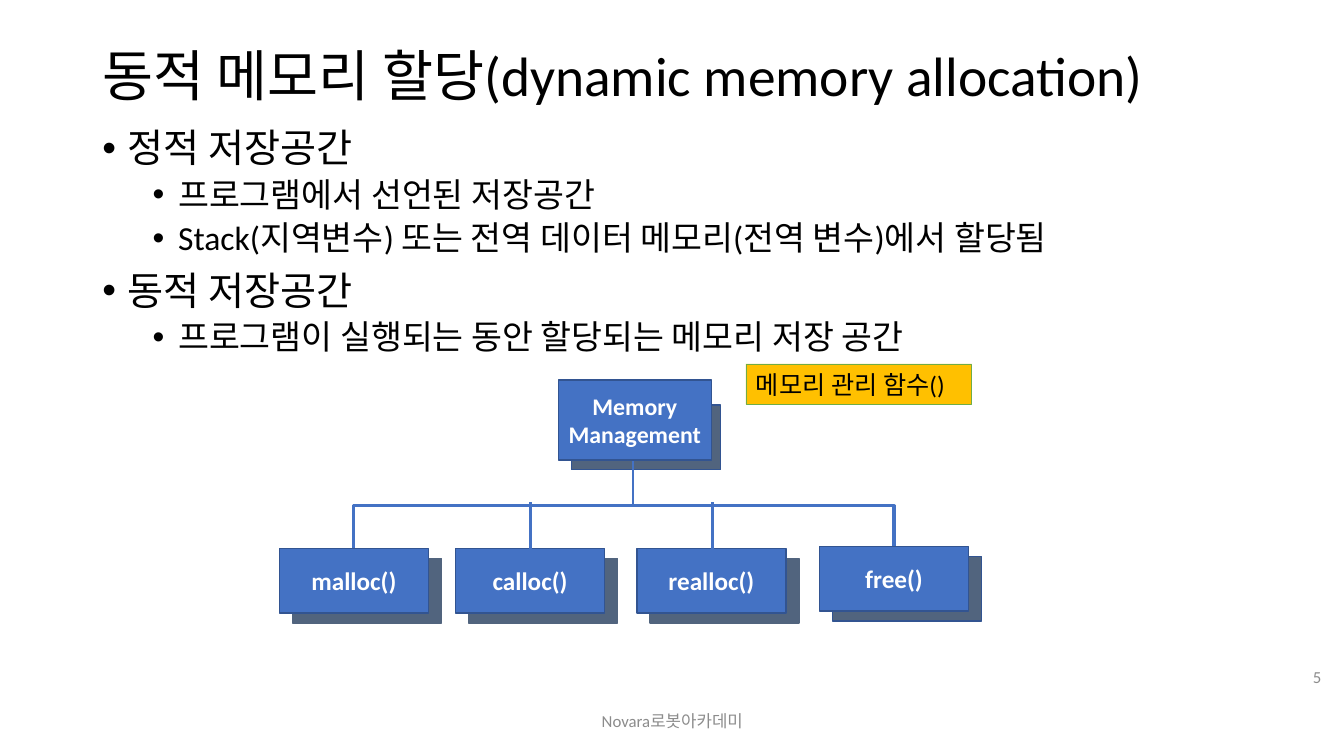
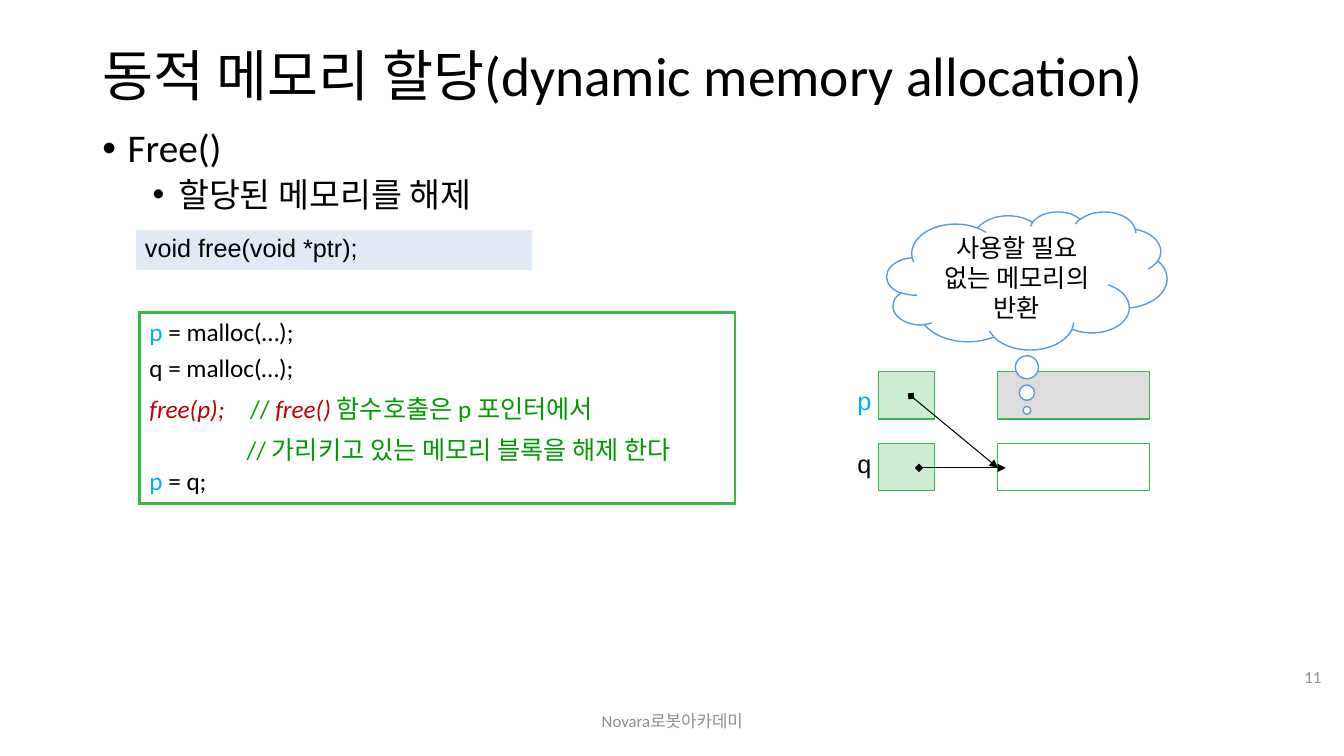
"""Builds two lecture slides on dynamic memory allocation."""
from dataclasses import dataclass

from lxml.etree import SubElement
from pptx import Presentation
from pptx.dml.color import RGBColor
from pptx.enum.shapes import MSO_CONNECTOR, MSO_SHAPE
from pptx.enum.text import MSO_ANCHOR, MSO_AUTO_SIZE, PP_ALIGN
from pptx.oxml.ns import qn
from pptx.util import Cm, Pt


@dataclass(frozen=True)
class Theme:
    font: str = "Calibri"
    code_font: str = "Arial"
    text: str = "000000"
    white: str = "FFFFFF"
    muted: str = "8C8C8C"
    blue: str = "4472C4"
    navy: str = "325491"
    slate: str = "51647E"
    amber: str = "FFC000"
    leaf: str = "70AD47"
    green: str = "39B54A"
    pale: str = "8FAADC"
    gray: str = "DDDDDD"
    sky: str = "5B9BD5"
    cyan: str = "00B0F0"
    red: str = "C00000"
    comment: str = "009900"
    title_size: float = 39.6
    level_sizes: tuple = (28, 24)
    body_size: float = 18
    root_size: float = 17
    small_size: float = 12


T = Theme()
TITLE = "동적 메모리 할당(dynamic memory allocation)"
FOOTER = "Novara로봇아카데미"


def add_text(tf, text, size=T.body_size, color=T.text, font=T.font, bold=False,
             align=PP_ALIGN.LEFT, line=None, before=0, left=0, hanging=0,
             bullet=None, tab=None):
    first = tf.paragraphs[0]
    p = tf.add_paragraph() if first.runs else first
    p.alignment = align
    p.space_before = Pt(before)
    if line:
        p.line_spacing = line
    pPr = p._p.get_or_add_pPr()
    pPr.set("marL", str(Cm(left)))
    pPr.set("indent", str(-Cm(hanging)))
    if bullet:
        SubElement(pPr, qn("a:buFont"), typeface="Arial")
        SubElement(pPr, qn("a:buChar"), char=bullet)
    if tab:
        tabs = SubElement(pPr, qn("a:tabLst"))
        SubElement(tabs, qn("a:tab"), pos=str(Cm(tab)), algn="l")
    runs = [(text, color, False)] if isinstance(text, str) else text
    for content, run_color, italic in runs:
        r = p.add_run()
        r.text = content
        r.font.name = font
        r.font.size = Pt(size)
        r.font.bold = bold
        r.font.italic = italic
        r.font.color.rgb = RGBColor.from_string(run_color)
    return p


def paint(fill, color, alpha=None):
    if color is None:
        fill.background()
        return
    fill.solid()
    fill.fore_color.rgb = RGBColor.from_string(color)
    if alpha:
        clr = fill._xPr.find(qn("a:solidFill"))[0]
        SubElement(clr, qn("a:alpha"), val=str(alpha * 1000))


class Deck:
    def __init__(self):
        self.prs = Presentation()
        self.prs.slide_width, self.prs.slide_height = Cm(33.87), Cm(19.05)
        self.s = None

    def slide(self, number):
        self.s = self.prs.slides.add_slide(self.prs.slide_layouts[5])
        sp = self.s.shapes.title
        sp.left, sp.top, sp.width, sp.height = Cm(2.33), Cm(1.02), Cm(29.21), Cm(1.9)
        tf = sp.text_frame
        tf.auto_size = MSO_AUTO_SIZE.NONE
        tf.vertical_anchor = MSO_ANCHOR.MIDDLE
        add_text(tf, TITLE, size=T.title_size, line=0.9)
        small = dict(size=T.small_size, color=T.muted)
        self.text(11.23, 17.65, 11.43, 1.02, FOOTER, anchor=MSO_ANCHOR.MIDDLE,
                  align=PP_ALIGN.CENTER, **small)
        self.text(31.98, 16.54, 1.57, 1.02, str(number), anchor=MSO_ANCHOR.MIDDLE,
                  align=PP_ALIGN.RIGHT, **small)

    def text(self, x, y, w, h, text, anchor=MSO_ANCHOR.TOP, **fmt):
        tf = self.s.shapes.add_textbox(Cm(x), Cm(y), Cm(w), Cm(h)).text_frame
        tf.word_wrap = True
        tf.vertical_anchor = anchor
        add_text(tf, text, **fmt)
        return tf

    def bullets(self, items):
        tf = self.s.shapes.add_textbox(Cm(2.33), Cm(3.12), Cm(29.21), Cm(14.05)).text_frame
        tf.word_wrap = True
        for level, text in items:
            p = add_text(tf, text, size=T.level_sizes[level], line=0.9,
                         before=(10, 5)[level], left=0.64 + 1.27 * level,
                         hanging=0.64, bullet="•")
            p.level = level

    def shape(self, x, y, w, h, fill, line, width=1.0, text="", alpha=None,
              kind=MSO_SHAPE.RECTANGLE, **fmt):
        sp = self.s.shapes.add_shape(kind, Cm(x), Cm(y), Cm(w), Cm(h))
        sp.shadow.inherit = False
        paint(sp.fill, fill, alpha)
        paint(sp.line.fill, line)
        sp.line.width = Pt(width)
        sp.text_frame.vertical_anchor = MSO_ANCHOR.MIDDLE
        for row in text.splitlines():
            add_text(sp.text_frame, row, **fmt)
        return sp

    def node(self, x, y, text, shadow_line):
        self.shape(x + 0.33, y + 0.25, 3.76, 1.63, T.slate, shadow_line)
        self.shape(x, y, 3.76, 1.63, T.blue, T.navy, text=text, color=T.white,
                   bold=True, align=PP_ALIGN.CENTER)

    def line(self, x1, y1, x2, y2, color=T.blue, width=2.25, ends=None,
             kind=MSO_CONNECTOR.STRAIGHT):
        c = self.s.shapes.add_connector(kind, Cm(x1), Cm(y1), Cm(x2), Cm(y2))
        paint(c.line.fill, color)
        c.line.width = Pt(width)
        if ends:
            ln = c.line._get_or_add_ln()
            SubElement(ln, qn("a:headEnd"), type=ends[0])
            SubElement(ln, qn("a:tailEnd"), type=ends[1])
        SubElement(c._element.spPr, qn("a:effectLst"))
        return c

    def bracket(self, x1, y1, x2, y2, top):
        cx, cy = (x1 + x2) / 2, (y1 + y2) / 2
        half_w, half_h = (y1 - y2) / 2, (x2 - x1) / 2
        c = self.line(cx + half_w, cy + half_h, cx - half_w, cy - half_h,
                      kind=MSO_CONNECTOR.ELBOW)
        spPr = c._element.spPr
        spPr.find(qn("a:xfrm")).set("rot", "5400000")
        geom = spPr.find(qn("a:prstGeom"))
        av = geom.find(qn("a:avLst"))
        if av is None:
            av = SubElement(geom, qn("a:avLst"))
        bend = round((y1 - top) / (y1 - y2) * 100000)
        SubElement(av, qn("a:gd"), name="adj1", fmla=f"val {bend}")

    def code(self, x, y, w, h, rows, fill=None, alpha=None, border=None, **fmt):
        table = self.s.shapes.add_table(1, 1, Cm(x), Cm(y), Cm(w), Cm(h)).table
        table.first_row = table.horz_banding = False
        cell = table.cell(0, 0)
        if border:
            tcPr = cell._tc.get_or_add_tcPr()
            for side in ("lnL", "lnR", "lnT", "lnB"):
                ln = SubElement(tcPr, qn(f"a:{side}"), w=str(Pt(2.25)))
                solid = SubElement(ln, qn("a:solidFill"))
                SubElement(solid, qn("a:srgbClr"), val=border)
        paint(cell.fill, fill, alpha)
        for text, extra in rows:
            add_text(cell.text_frame, text, **{**fmt, **extra})


def management_slide(d):
    d.slide(5)
    d.bullets([
        (0, "정적 저장공간"),
        (1, "프로그램에서 선언된 저장공간"),
        (1, "Stack(지역변수) 또는 전역 데이터 메모리(전역 변수)에서 할당됨"),
        (0, "동적 저장공간"),
        (1, "프로그램이 실행되는 동안 할당되는 메모리 저장 공간"),
    ])
    d.shape(14.4, 10.21, 3.76, 1.63, T.slate, T.navy)
    d.line(15.95, 11.48, 15.95, 12.78, width=1.5)
    d.shape(14.07, 9.58, 3.86, 2.01, T.blue, T.navy, text="Memory\nManagement",
            size=T.root_size, color=T.white, bold=True, align=PP_ALIGN.CENTER)
    for x, y, name, shadow_line in (
        (7.04, 13.82, "malloc()", T.slate),
        (11.48, 13.82, "calloc()", T.slate),
        (16.05, 13.82, "realloc()", T.slate),
        (20.65, 13.77, "free()", T.navy),
    ):
        d.node(x, y, name, shadow_line)
    d.bracket(8.92, 13.82, 22.53, 13.77, top=12.75)
    for x in (13.36, 17.95):
        d.line(x, 12.65, x, 13.94)
    sp = d.shape(18.8, 9.17, 5.69, 1.02, T.amber, T.leaf, 0.5, text="메모리 관리 함수()")
    sp.text_frame.word_wrap = False
    sp.text_frame.auto_size = MSO_AUTO_SIZE.SHAPE_TO_FIT_TEXT
    sp.text_frame.vertical_anchor = MSO_ANCHOR.TOP


def free_slide(d):
    d.slide(11)
    d.bullets([(0, "Free()"), (1, "할당된 메모리를 해제")])
    d.code(3.4, 5.79, 10.01, 1, [("void free(void *ptr);", {})],
           fill=T.pale, alpha=25, font=T.code_font)
    pointer = ("p", T.cyan, False)
    d.code(3.51, 7.87, 15.01, 4.81, [
        ([pointer, (" = malloc(…);", T.text, False)], {}),
        ("q = malloc(…);", {}),
        ([("free(p);\t", T.red, True), ("// ", T.comment, False),
          ("free() ", T.red, True), ("함수호출은 p 포인터에서", T.comment, False)],
         dict(tab=2.7)),
        ("// 가리키고 있는 메모리 블록을 해제 한다", dict(color=T.comment, left=2.45)),
        ([pointer, (" = q;", T.text, False)], dict(before=0)),
    ], border=T.green, before=3.6)
    for y, block, label, label_y, color in (
        (9.37, T.gray, "p", 9.58, T.cyan),
        (11.18, T.white, "q", 11.18, T.text),
    ):
        d.shape(22.15, y, 1.4, 1.19, T.green, T.green, 0.75, alpha=25)
        d.shape(25.15, y, 3.81, 1.19, block, T.green, 0.75)
        d.text(21.36, label_y, 1.6, 1.02, label, color=color, font=T.code_font)
    for x1, y1, x2 in ((22.96, 9.98, 25.15), (23.16, 11.79, 25.35)):
        d.line(x1, y1, x2, 11.79, T.text, 0.75, ends=("diamond", "triangle"))
    sp = d.shape(22.35, 5.33, 7.06, 3.48, T.white, T.sky, kind=MSO_SHAPE.CLOUD_CALLOUT,
                 text="사용할 필요 없는 메모리의 반환", align=PP_ALIGN.CENTER)
    sp.adjustments[0], sp.adjustments[1] = 0, 0.94


deck = Deck()
management_slide(deck)
free_slide(deck)
deck.prs.save("out.pptx")
